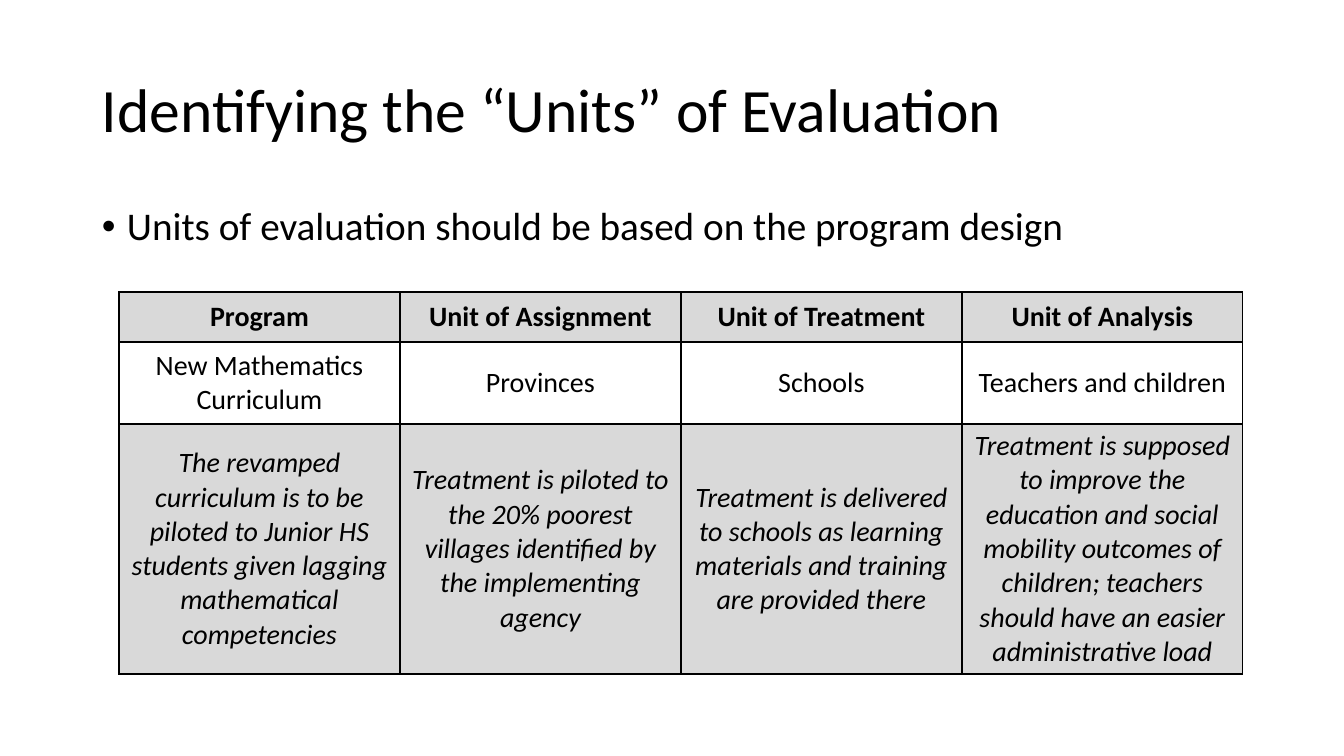
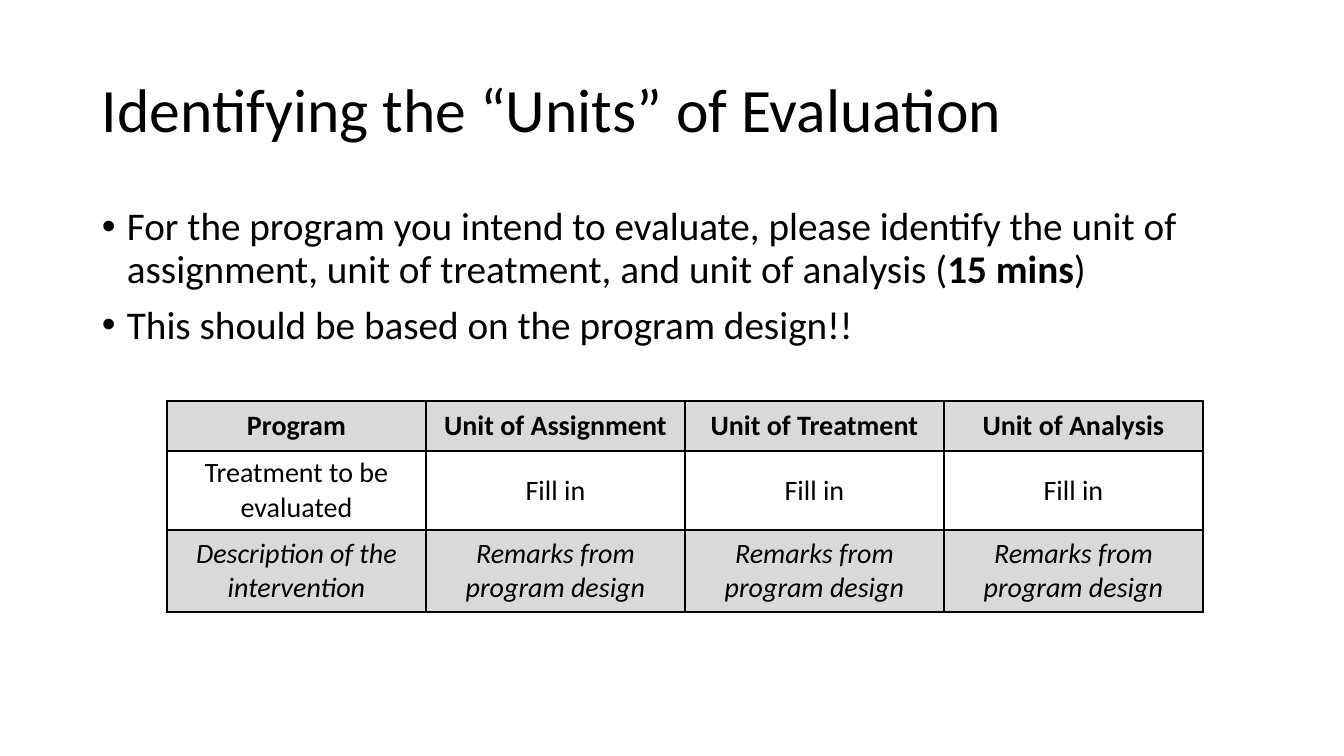
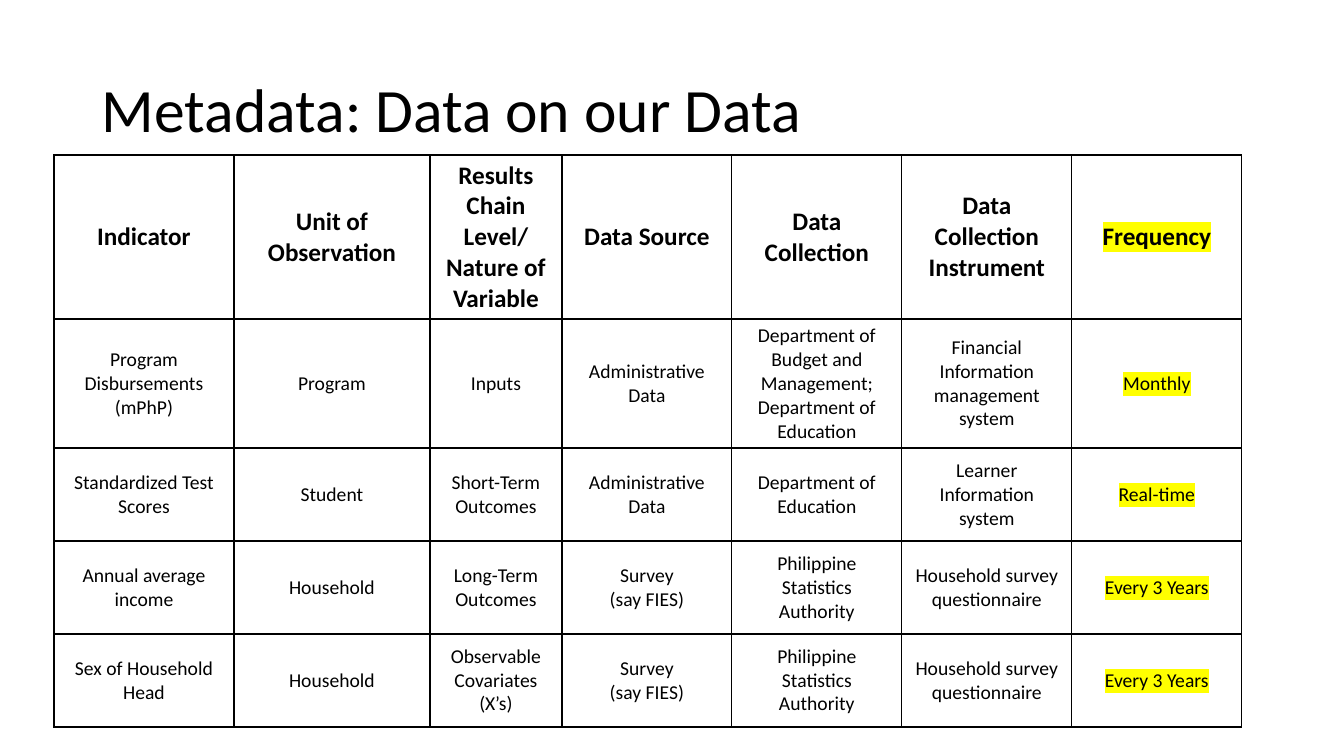
from dataclasses import dataclass

from lxml.etree import SubElement
from pptx import Presentation
from pptx.dml.color import RGBColor
from pptx.enum.text import MSO_ANCHOR, PP_ALIGN
from pptx.oxml.ns import qn
from pptx.slide import Slide
from pptx.text.text import _Run
from pptx.util import Emu, Pt

BLACK = RGBColor(0x00, 0x00, 0x00)
WHITE = RGBColor(0xFF, 0xFF, 0xFF)
GRAY = RGBColor(0xD9, 0xD9, 0xD9)
YELLOW = RGBColor(0xFF, 0xFF, 0x00)
FONT = "Calibri"
EMU_PER_PX = 914400 / 100.8
BORDER_PT = 1


def px(length: int) -> Emu:
    return Emu(round(length * EMU_PER_PX))


@dataclass(frozen=True)
class RowStyle:
    size: int
    bold: bool = False
    italic: bool = False
    fill: RGBColor = WHITE


@dataclass(frozen=True)
class Row:
    height: int
    style: RowStyle
    texts: tuple[str, ...]


@dataclass(frozen=True)
class Grid:
    left: int
    top: int
    columns: tuple[int, ...]
    rows: tuple[Row, ...]
    highlighted_column: int | None = None


@dataclass(frozen=True)
class Page:
    title: str
    # Each bullet alternates plain and bold segments
    bullets: tuple[tuple[str, ...], ...]
    grid: Grid


# Row styles
UNIT_HEADER = RowStyle(20, bold=True, fill=GRAY)
UNIT_NAMES = RowStyle(20)
UNIT_REMARKS = RowStyle(20, italic=True, fill=GRAY)
METADATA_HEADER = RowStyle(18, bold=True)
METADATA_ENTRY = RowStyle(14)

# Content
UNITS_TITLE = "Identifying the “Units” of Evaluation"
UNITS_HEADINGS = Row(50, UNIT_HEADER, (
    "Program", "Unit of Assignment", "Unit of Treatment", "Unit of Analysis"))

PAGES = (
    Page(
        UNITS_TITLE,
        (("Units of evaluation should be based on the program design",),),
        Grid(119, 292, (281,) * 4, (
            UNITS_HEADINGS,
            Row(82, UNIT_NAMES, (
                "New Mathematics Curriculum", "Provinces", "Schools",
                "Teachers and children")),
            Row(250, UNIT_REMARKS, (
                "The revamped curriculum is to be piloted to Junior HS students "
                "given lagging mathematical competencies",
                "Treatment is piloted to the 20% poorest villages identified by "
                "the implementing agency",
                "Treatment is delivered to schools as learning materials and "
                "training are provided there",
                "Treatment is supposed to improve the education and social "
                "mobility outcomes of children; teachers should have an easier "
                "administrative load")),
        )),
    ),
    Page(
        UNITS_TITLE,
        (
            ("For the program you intend to evaluate, please identify the unit of "
             "assignment, unit of treatment, and unit of analysis (",
             "15 mins", ")"),
            ("This should be based on the program design!!",),
        ),
        Grid(167, 401, (259,) * 4, (
            UNITS_HEADINGS,
            Row(79, UNIT_NAMES, ("Treatment to be evaluated",) + ("Fill in",) * 3),
            Row(82, UNIT_REMARKS, ("Description of the intervention",)
                + ("Remarks from program design",) * 3),
        )),
    ),
    Page(
        "Metadata: Data on our Data",
        (),
        Grid(54, 155, (180, 196, 132) + (170,) * 4, (
            Row(164, METADATA_HEADER, (
                "Indicator", "Unit of Observation",
                "Results Chain Level/\nNature of Variable", "Data Source",
                "Data Collection", "Data Collection Instrument", "Frequency")),
            Row(129, METADATA_ENTRY, (
                "Program\nDisbursements\n(mPhP)", "Program", "Inputs",
                "Administrative Data",
                "Department of Budget and Management; Department of Education",
                "Financial Information management system", "Monthly")),
            Row(93, METADATA_ENTRY, (
                "Standardized Test Scores", "Student", "Short-Term Outcomes",
                "Administrative Data", "Department of Education",
                "Learner Information system", "Real-time")),
            Row(93, METADATA_ENTRY, (
                "Annual average income", "Household", "Long-Term Outcomes",
                "Survey\n(say FIES)", "Philippine Statistics Authority",
                "Household survey questionnaire", "Every 3 Years")),
            Row(93, METADATA_ENTRY, (
                "Sex of Household Head", "Household",
                "Observable Covariates (X’s)", "Survey\n(say FIES)",
                "Philippine Statistics Authority",
                "Household survey questionnaire", "Every 3 Years")),
        ), highlighted_column=6),
    ),
)


def style_run(run: _Run, size: int, bold: bool = False, italic: bool = False) -> None:
    font = run.font
    font.name, font.size, font.bold, font.italic = FONT, Pt(size), bold, italic
    font.color.rgb = BLACK


def highlight(run: _Run) -> None:
    properties = run.font._element
    marker = SubElement(properties, qn("a:highlight"))
    SubElement(marker, qn("a:srgbClr"), val=str(YELLOW))
    # The schema wants the highlight right after the text fill
    properties.find(qn("a:solidFill")).addnext(marker)


def draw_title(slide: Slide, title: str) -> None:
    frame = slide.shapes.add_textbox(px(92), px(40), px(1159), px(146)).text_frame
    frame.word_wrap = True
    frame.vertical_anchor = MSO_ANCHOR.MIDDLE
    frame.text = title
    paragraph = frame.paragraphs[0]
    paragraph.line_spacing = 0.9
    style_run(paragraph.runs[0], 44)


def draw_bullets(slide: Slide, bullets: tuple[tuple[str, ...], ...]) -> None:
    frame = slide.shapes.add_textbox(px(92), px(202), px(1159), px(480)).text_frame
    frame.word_wrap = True
    for index, segments in enumerate(bullets):
        paragraph = frame.add_paragraph() if index else frame.paragraphs[0]
        paragraph.line_spacing = 0.9
        paragraph.space_before = Pt(10)
        properties = paragraph._p.get_or_add_pPr()
        properties.set("marL", str(px(25)))
        properties.set("indent", str(-px(25)))
        SubElement(properties, qn("a:buFont"), typeface="Arial")
        SubElement(properties, qn("a:buChar"), char="•")
        for position, segment in enumerate(segments):
            run = paragraph.add_run()
            run.text = segment
            style_run(run, 28, bold=position % 2 == 1)


def draw_cell(cell, text: str, style: RowStyle, highlighted: bool) -> None:
    # Borders come before the fill in the cell properties
    properties = cell._tc.get_or_add_tcPr()
    for side in ("lnL", "lnR", "lnT", "lnB"):
        line = SubElement(properties, qn(f"a:{side}"), w=str(Pt(BORDER_PT)))
        SubElement(SubElement(line, qn("a:solidFill")), qn("a:srgbClr"), val=str(BLACK))
    cell.fill.solid()
    cell.fill.fore_color.rgb = style.fill
    cell.vertical_anchor = MSO_ANCHOR.MIDDLE
    cell.text_frame.text = text
    for paragraph in cell.text_frame.paragraphs:
        paragraph.alignment = PP_ALIGN.CENTER
        for run in paragraph.runs:
            style_run(run, style.size, style.bold, style.italic)
            if highlighted:
                highlight(run)


def draw_grid(slide: Slide, grid: Grid) -> None:
    table = slide.shapes.add_table(
        len(grid.rows), len(grid.columns), px(grid.left), px(grid.top),
        px(sum(grid.columns)), px(sum(row.height for row in grid.rows))).table
    table.first_row = table.horz_banding = False
    for column, width in zip(table.columns, grid.columns):
        column.width = px(width)
    for row_index, row in enumerate(grid.rows):
        table.rows[row_index].height = px(row.height)
        for column_index, text in enumerate(row.texts):
            draw_cell(table.cell(row_index, column_index), text, row.style,
                      column_index == grid.highlighted_column)


def main() -> None:
    deck = Presentation()
    deck.slide_width, deck.slide_height = px(1344), px(756)
    blank = deck.slide_layouts[6]
    for page in PAGES:
        slide = deck.slides.add_slide(blank)
        draw_title(slide, page.title)
        if page.bullets:
            draw_bullets(slide, page.bullets)
        draw_grid(slide, page.grid)
    deck.save("out.pptx")


if __name__ == "__main__":
    main()
